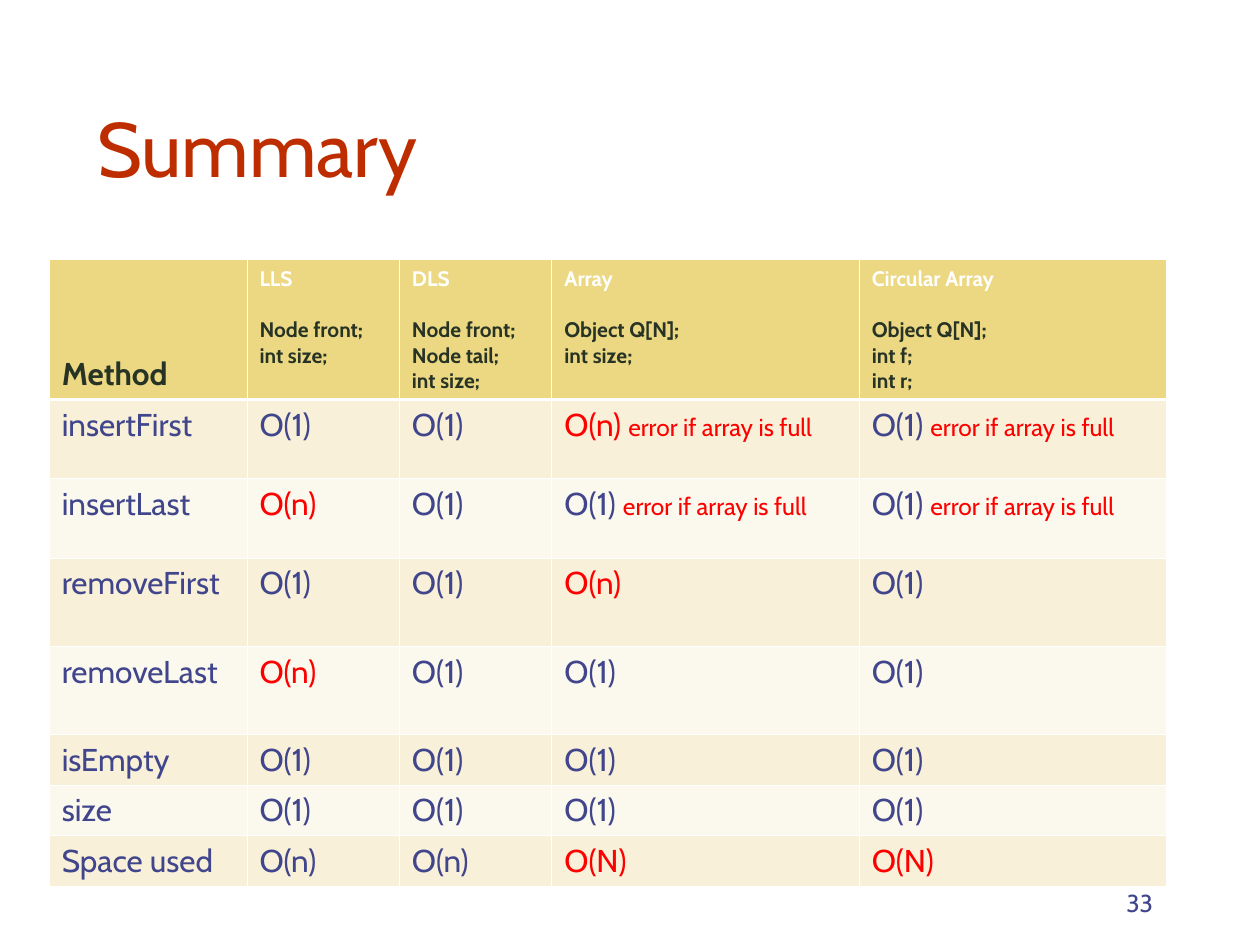
"""Build a summary slide comparing the running times of deque implementations."""
from lxml.etree import SubElement
from pptx import Presentation
from pptx.dml.color import RGBColor
from pptx.enum.text import MSO_ANCHOR, MSO_AUTO_SIZE, PP_ALIGN
from pptx.oxml.ns import qn
from pptx.util import Inches, Pt

COLORS = {
    "title": "BE2D00", "body": "40458C", "dark": "273325", "alert": "FF0000",
    "white": "FFFFFF", "header": "ECD882", "odd": "F8F0D8", "even": "FBF8ED",
}
STRUCTURES = [
    ("LLS", ["Node front;", "int size;"]),
    ("DLS", ["Node front;", "Node tail;", "int size;"]),
    ("Array", ["Object Q[N];", "int size;"]),
    ("Circular Array", ["Object Q[N];", "int f;", "int r;"]),
]
FULL_NOTE = "error if array is full"
METHODS = [
    ("insertFirst", ["O(1)", "O(1)", "O(n)", "O(1)"], FULL_NOTE),
    ("insertLast", ["O(n)", "O(1)", "O(1)", "O(1)"], FULL_NOTE),
    ("removeFirst", ["O(1)", "O(1)", "O(n)", "O(1)"], ""),
    ("removeLast", ["O(n)", "O(1)", "O(1)", "O(1)"], ""),
    ("isEmpty", ["O(1)"] * 4, ""),
    ("size", ["O(1)"] * 4, ""),
    ("Space used", ["O(n)", "O(n)", "O(N)", "O(N)"], ""),
]
COLUMN_WIDTHS = [1.57, 1.21, 1.21, 2.44, 2.44]
ROW_HEIGHTS = [1.11, 0.63, 0.63, 0.7, 0.7, 0.4, 0.4, 0.4]


def add_span(para, text, size=18, color="body", bold=False):
    span = para.add_run()
    span.text = text
    span.font.name = "Cabin"
    span.font.size = Pt(size)
    span.font.bold = bold
    span.font.color.rgb = RGBColor.from_string(COLORS[color])


def style_cell(cell, fill, widths):
    properties = cell._tc.get_or_add_tcPr()
    for side, width in zip("LRTB", widths):
        line = SubElement(properties, qn(f"a:ln{side}"), w=str(Pt(width)))
        paint = SubElement(line, qn("a:solidFill"))
        SubElement(paint, qn("a:srgbClr"), val=COLORS["white"])
    cell.fill.solid()
    cell.fill.fore_color.rgb = RGBColor.from_string(COLORS[fill])


deck = Presentation()
deck.slide_width, deck.slide_height = Inches(10), Inches(7.5)
page = deck.slides.add_slide(deck.slide_layouts[5])

title = page.shapes.title
title.left, title.top = Inches(0.67), Inches(0.33)
title.width, title.height = Inches(8.5), Inches(1.25)
title.text_frame.auto_size = MSO_AUTO_SIZE.NONE
title.text_frame.vertical_anchor = MSO_ANCHOR.BOTTOM
title_para = title.text_frame.paragraphs[0]
title_para.alignment = PP_ALIGN.LEFT
add_span(title_para, "Summary", size=44, color="title")

number_box = page.shapes.add_textbox(Inches(7.17), Inches(6.83), Inches(2.08), Inches(0.5))
number_box.text_frame.word_wrap = True
number_box.text_frame.vertical_anchor = MSO_ANCHOR.BOTTOM
number_para = number_box.text_frame.paragraphs[0]
number_para.alignment = PP_ALIGN.RIGHT
add_span(number_para, "33", size=14)

table = page.shapes.add_table(
    len(ROW_HEIGHTS), len(COLUMN_WIDTHS), Inches(0.39), Inches(2.06),
    Inches(sum(COLUMN_WIDTHS)), Inches(sum(ROW_HEIGHTS)),
).table
for column, width in zip(table.columns, COLUMN_WIDTHS):
    column.width = Inches(width)
for index, (row, height) in enumerate(zip(table.rows, ROW_HEIGHTS)):
    row.height = Inches(height)
    fill = "header" if index == 0 else "odd" if index % 2 else "even"
    top = 1.47 if index == 1 else 0.45
    bottom = 1.47 if index == 0 else 0.45
    for cell in row.cells:
        style_cell(cell, fill, [0.45, 0.45, top, bottom])

method_head = table.cell(0, 0)
method_head.vertical_anchor = MSO_ANCHOR.BOTTOM
add_span(method_head.text_frame.paragraphs[0], "Method", color="dark", bold=True)
for column, (name, fields) in enumerate(STRUCTURES, start=1):
    frame = table.cell(0, column).text_frame
    add_span(frame.paragraphs[0], name, size=12, color="white", bold=True)
    for position, field in enumerate(fields):
        para = frame.add_paragraph()
        if position == 0:
            para.space_before = Pt(14.6)
        add_span(para, field, size=12, color="dark", bold=True)

for row, (method, costs, note) in enumerate(METHODS, start=1):
    add_span(table.cell(row, 0).text_frame.paragraphs[0], method)
    slow_cost = "O(N)" if method == "Space used" else "O(n)"
    for column, cost in enumerate(costs, start=1):
        para = table.cell(row, column).text_frame.paragraphs[0]
        has_note = note and column >= 3
        add_span(para, cost + " " if has_note else cost,
                 color="alert" if cost == slow_cost else "body")
        if has_note:
            add_span(para, note, size=14, color="alert")

deck.save("out.pptx")
